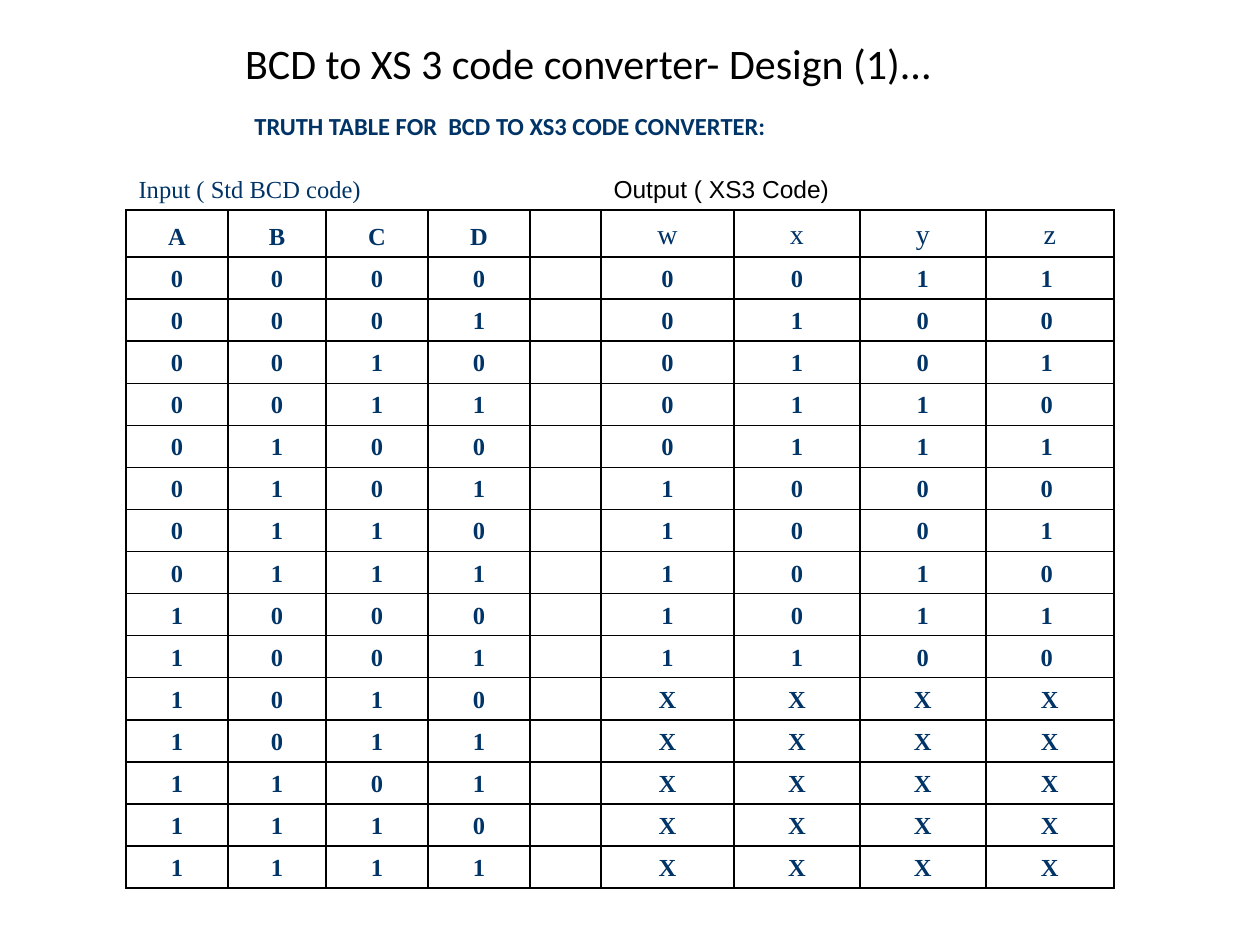
from lxml.etree import SubElement
from pptx import Presentation
from pptx.dml.color import RGBColor
from pptx.enum.text import MSO_ANCHOR, MSO_AUTO_SIZE, PP_ALIGN
from pptx.oxml.ns import qn
from pptx.util import Pt

PX = 914400 // 126
NAVY, BLACK = "003366", "000000"
SERIF = "Times New Roman"
COL_WIDTHS = [102, 98, 102, 102, 71, 133, 126, 126, 128]
ROW_HEIGHT, HEADER_HEIGHT = 42, 47
GAP_COL = 4


def px(*lengths):
    """Turn pixel lengths into EMU."""
    return [n * PX for n in lengths]


def color(hex_code):
    """Turn a hex string into a colour."""
    return RGBColor.from_string(hex_code)


def write(tf, text, size=14, font=SERIF, fill=NAVY, bold=False, align=PP_ALIGN.LEFT):
    """Write one formatted paragraph and return it."""
    p = tf.paragraphs[0]
    p.alignment = align
    r = p.add_run()
    r.text = text
    r.font.size = Pt(size)
    r.font.name = font
    r.font.bold = bold
    r.font.color.rgb = color(fill)
    return p


def add_title(s, text):
    """Place and fill the title placeholder."""
    sp = s.shapes.title
    sp.left, sp.top, sp.width, sp.height = px(53, 21, 1071, 84)
    tf = sp.text_frame
    tf.auto_size = MSO_AUTO_SIZE.NONE
    tf.vertical_anchor = MSO_ANCHOR.MIDDLE
    write(tf, text, size=24, font="Calibri", fill=BLACK, align=PP_ALIGN.CENTER)


def add_subtitle(s, text):
    """Add the indented heading above the table."""
    tf = s.shapes.add_textbox(*px(53, 105, 1155, 63)).text_frame
    tf.word_wrap = True
    p = write(tf, text, font="Calibri", bold=True)
    p.level = 3
    p._p.get_or_add_pPr().set("marL", str(189 * PX))


def set_borders(cell, visible):
    """Draw the named sides of a cell in black and hide the others."""
    tcPr = cell._tc.get_or_add_tcPr()
    for side in ("lnL", "lnR", "lnT", "lnB"):
        ln = SubElement(tcPr, qn(f"a:{side}"), w=str(Pt(1)))
        if side in visible:
            fill = SubElement(ln, qn("a:solidFill"))
            SubElement(fill, qn("a:srgbClr"), val=BLACK)
        else:
            SubElement(ln, qn("a:noFill"))


def format_cell(cell, visible):
    """Give a cell its borders, clear fill and bottom anchor."""
    set_borders(cell, visible)
    cell.fill.background()
    cell.vertical_anchor = MSO_ANCHOR.BOTTOM


def set_empty(cell):
    """Keep an empty cell as low as its filled neighbours."""
    end = SubElement(cell.text_frame.paragraphs[0]._p, qn("a:endParaRPr"), sz="1400")
    SubElement(end, qn("a:latin"), typeface=SERIF)


def truth_rows():
    """List the BCD inputs with their excess-3 outputs."""
    rows = []
    for n in range(16):
        if n == 12:
            continue
        output = f"{n + 3:04b} " if n < 10 else "XXXX"
        rows.append([*f"{n:04b}", "", *output[:3], output[3:]])
    return rows


def add_truth_table(s):
    """Add the truth table with its group captions."""
    rows = [[*"ABCD", "", *"wxyz"]] + truth_rows()
    heights = [ROW_HEIGHT, HEADER_HEIGHT] + [ROW_HEIGHT] * (len(rows) - 1)
    frame = s.shapes.add_table(len(heights), len(COL_WIDTHS),
                               *px(126, 168, sum(COL_WIDTHS), sum(heights)))
    table = frame.table
    table.first_row = table.horz_banding = False
    for col, width in zip(table.columns, px(*COL_WIDTHS)):
        col.width = width
    for row, height in zip(table.rows, px(*heights)):
        row.height = height

    for cell in table.rows[0].cells:
        format_cell(cell, ("lnB",))
    table.cell(0, 0).merge(table.cell(0, GAP_COL))
    table.cell(0, GAP_COL + 1).merge(table.cell(0, len(COL_WIDTHS) - 1))
    write(table.cell(0, 0).text_frame, "Input ( Std BCD code)")
    write(table.cell(0, GAP_COL + 1).text_frame, "Output ( XS3 Code)", font="Arial", fill=BLACK)

    for i, values in enumerate(rows, 1):
        for j, value in enumerate(values):
            cell = table.cell(i, j)
            format_cell(cell, ("lnL", "lnR", "lnT", "lnB"))
            if not value:
                set_empty(cell)
                continue
            output_name = i == 1 and j > GAP_COL
            write(cell.text_frame, value, size=16 if output_name else 14,
                  bold=not output_name, align=PP_ALIGN.CENTER)


def main():
    """Build and save the slide."""
    prs = Presentation()
    prs.slide_width, prs.slide_height = px(1260, 945)
    s = prs.slides.add_slide(prs.slide_layouts[5])
    add_title(s, "BCD to XS 3 code converter- Design (1)...")
    add_subtitle(s, "TRUTH TABLE FOR  BCD TO XS3 CODE CONVERTER:")
    add_truth_table(s)
    prs.save("out.pptx")


if __name__ == "__main__":
    main()
